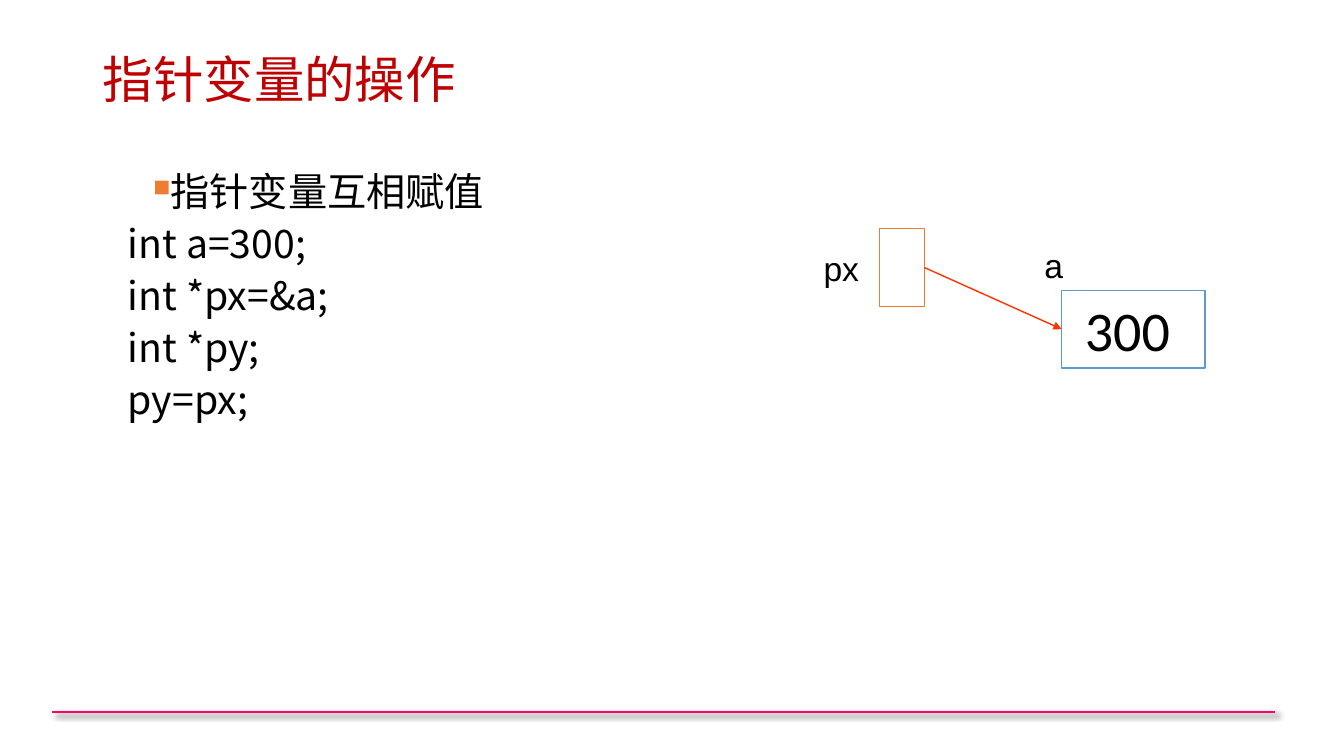
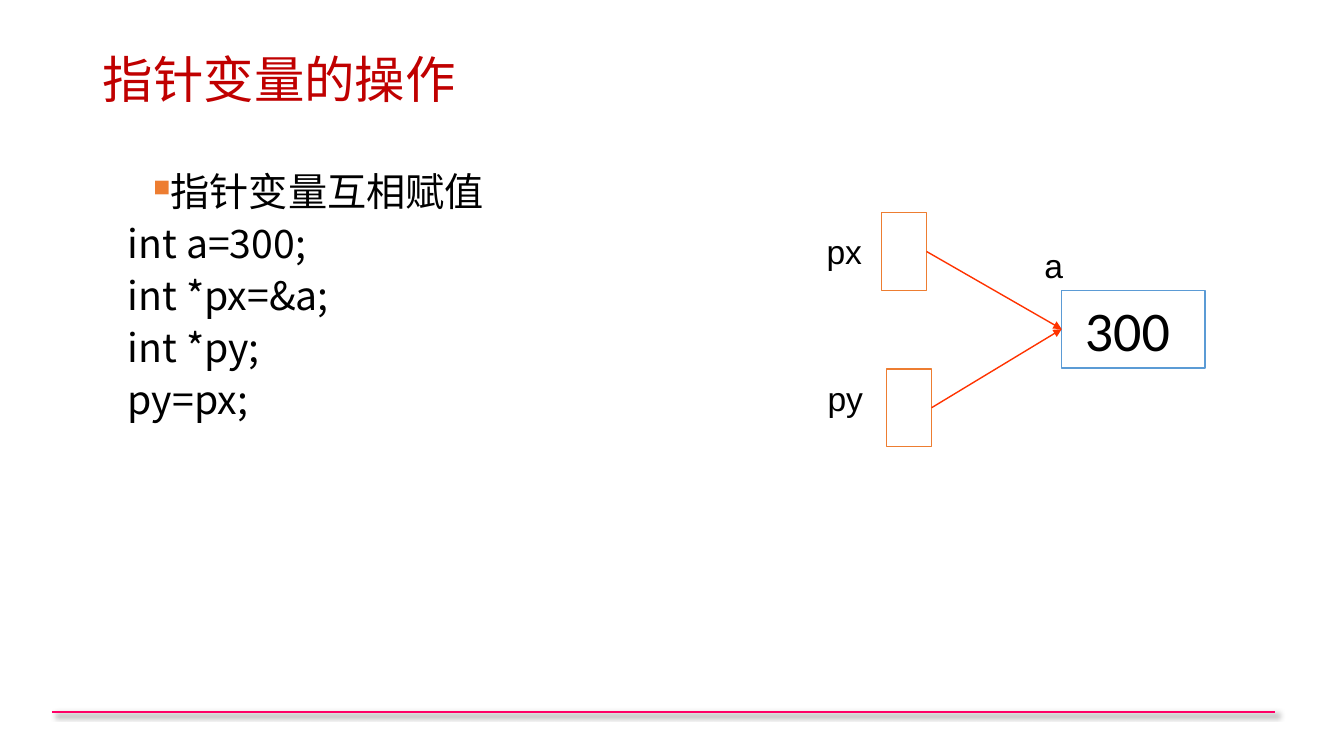
from lxml import etree
from pptx import Presentation
from pptx.dml.color import RGBColor
from pptx.enum import shapes, text
from pptx.oxml import ns
from pptx.util import Inches, Pt

RED = RGBColor(0xC0, 0x00, 0x00)
PINK = RGBColor(0xFF, 0x00, 0x66)
ORANGE = RGBColor(0xED, 0x7D, 0x31)
BLUE = RGBColor(0x5B, 0x9B, 0xD5)
ARROW_RED = RGBColor(0xFF, 0x33, 0x00)
BLACK = RGBColor(0x00, 0x00, 0x00)
WHITE = RGBColor(0xFF, 0xFF, 0xFF)

CJK = "Noto Sans CJK SC"
TOP, LEFT, BOTTOM, RIGHT = range(4)
BOX_HEIGHT = 0.77

TITLE = "指针变量的操作"
HEADING = "指针变量互相赋值"
CODE = ["int a=300;", "int *px=&a;", "int *py;", "py=px;"]
# Each pointer: name, top left corner of its box, top left corner of its label
PAGES = [
    [("px", (8.72, 2.27), (8.07, 2.41))],
    [("px", (8.74, 2.11), (8.10, 2.24)), ("py", (8.79, 3.66), (8.11, 3.70))],
]


def add_xml(parent, tag, **attributes):
    return etree.SubElement(parent, ns.qn(tag), attributes)


class PointerDeck:
    def __init__(self):
        self.deck = Presentation()
        self.deck.slide_width = Inches(13.33)
        self.deck.slide_height = Inches(7.5)
        self.layout = self.deck.slide_layouts[5]
        self.page = None

    def start_page(self, title):
        self.page = self.deck.slides.add_slide(self.layout)
        if len(self.deck.slides) == 1:
            self.add_footer_rule()
        holder = self.page.shapes.title
        holder.left, holder.top = Inches(0.92), Inches(0.4)
        holder.width, holder.height = Inches(11.5), Inches(0.83)
        frame = holder.text_frame
        frame.vertical_anchor = text.MSO_ANCHOR.MIDDLE
        para = frame.paragraphs[0]
        para.text = title
        para.alignment = text.PP_ALIGN.LEFT
        para.line_spacing = 0.9
        self.style(para, 36, CJK, RED)

    def style(self, para, size, font, color=BLACK):
        para.font.size = Pt(size)
        para.font.name = font
        para.font.color.rgb = color
        properties = para._p.get_or_add_pPr().find(ns.qn("a:defRPr"))
        add_xml(properties, "a:ea", typeface=font)

    def add_line(self, start, end, color, width):
        """Draw a straight line and return it with its empty effect list."""
        line = self.page.shapes.add_connector(
            shapes.MSO_CONNECTOR.STRAIGHT, *map(Inches, start + end))
        line.line.color.rgb = color
        line.line.width = Pt(width)
        return line, add_xml(line.element.spPr, "a:effectLst")

    def add_footer_rule(self):
        """Put the shadowed rule on the layout, so that every page shows it."""
        rule, effects = self.add_line((0.52, 7.06), (12.65, 7.06), PINK, 1.5)
        shadow = add_xml(effects, "a:outerShdw", blurRad=str(Pt(4)),
                         dist=str(Pt(3)), dir=str(45 * 60000), algn="tl",
                         rotWithShape="0")
        color = add_xml(shadow, "a:srgbClr", val=str(BLACK))
        add_xml(color, "a:alpha", val="40000")
        self.layout.shapes.element.append(rule.element)

    def add_text(self, position, size):
        box = self.page.shapes.add_textbox(*map(Inches, position + size))
        return box.text_frame

    def add_code(self, heading, lines):
        frame = self.add_text((0.92, 1.66), (5.74, 5.1))
        frame.word_wrap = True
        for index, line in enumerate([heading] + lines):
            para = frame.add_paragraph() if index else frame.paragraphs[0]
            para.text = line
            para.line_spacing = 0.9
            para.space_before = Pt(7 if index else 0)
            properties = para._p.get_or_add_pPr()
            properties.set("marL", str(Inches(0.25)))
            properties.set("indent", str(Inches(0 if index else 0.25)))
            if index == 0:
                color = add_xml(properties, "a:buClr")
                add_xml(color, "a:srgbClr", val=str(ORANGE))
                add_xml(properties, "a:buSzPct", val="60000")
                add_xml(properties, "a:buChar", char="■")
            self.style(para, 28, CJK)

    def add_label(self, name, position, width):
        frame = self.add_text(position, (width, 0.5))
        frame.word_wrap = False
        frame.auto_size = text.MSO_AUTO_SIZE.SHAPE_TO_FIT_TEXT
        para = frame.paragraphs[0]
        para.text = name
        self.style(para, 24, "Arial")

    def add_box(self, position, width, color):
        box = self.page.shapes.add_shape(
            shapes.MSO_SHAPE.RECTANGLE,
            *map(Inches, position + (width, BOX_HEIGHT)))
        box.shadow.inherit = False
        box.fill.solid()
        box.fill.fore_color.rgb = WHITE
        box.line.color.rgb = color
        box.line.width = Pt(1)
        return box

    def add_variable(self, name, value):
        box = self.add_box((10.53, 2.88), 1.42, BLUE)
        frame = box.text_frame
        frame.margin_left = Inches(0.23)
        para = frame.paragraphs[0]
        para.text = value
        para.alignment = text.PP_ALIGN.LEFT
        self.style(para, 40, "Calibri")
        self.add_label(name, (10.26, 2.38), 0.39)
        return box

    def add_pointer(self, name, box_position, label_position, target):
        box = self.add_box(box_position, 0.45, ORANGE)
        self.add_label(name, label_position, 0.56)
        arrow, _ = self.add_line((0, 0), (1, 1), ARROW_RED, 1)
        arrow.begin_connect(box, RIGHT)
        arrow.end_connect(target, LEFT)
        add_xml(arrow.line._get_or_add_ln(), "a:tailEnd", type="triangle")


def main():
    builder = PointerDeck()
    for pointers in PAGES:
        builder.start_page(TITLE)
        builder.add_code(HEADING, CODE)
        variable = builder.add_variable("a", "300")
        for name, box_position, label_position in pointers:
            builder.add_pointer(name, box_position, label_position, variable)
    builder.deck.save("out.pptx")


if __name__ == "__main__":
    main()
